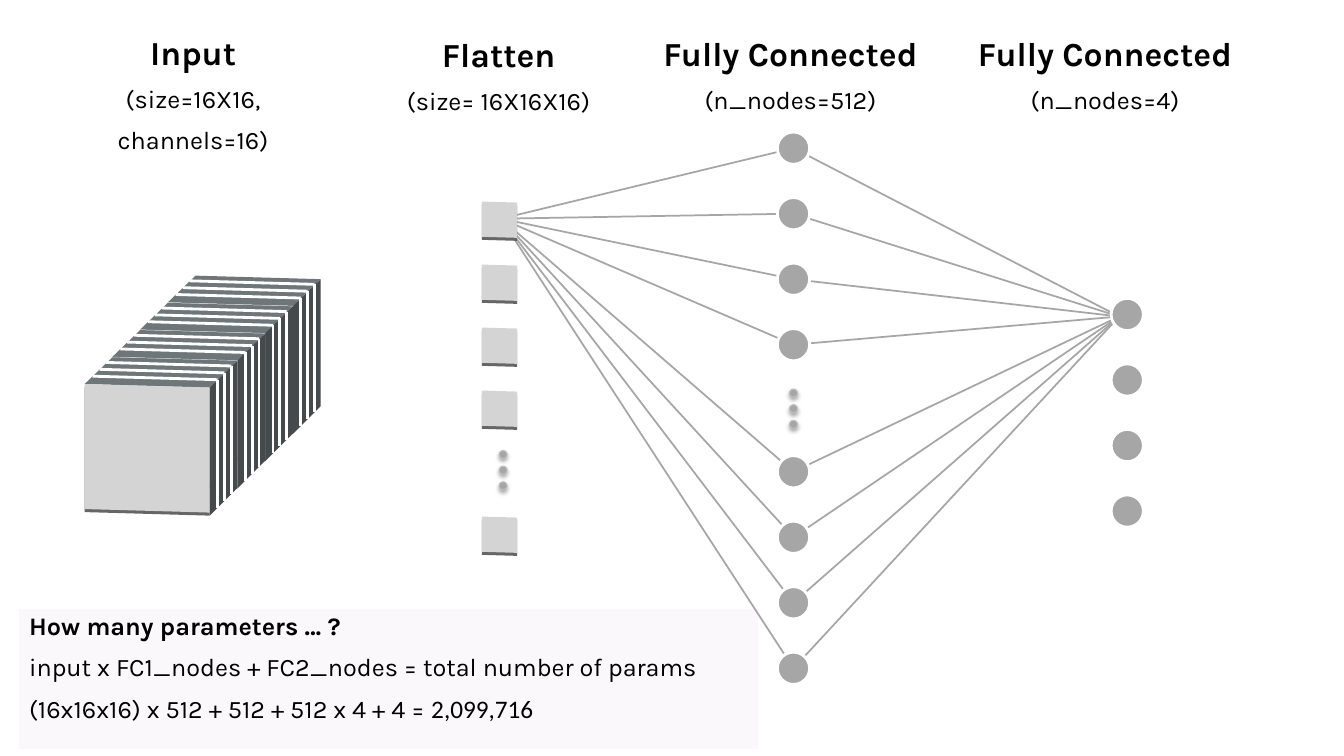
from dataclasses import dataclass

from lxml.etree import SubElement
from pptx import Presentation
from pptx.dml.color import RGBColor
from pptx.enum.shapes import MSO_CONNECTOR, MSO_SHAPE
from pptx.enum.text import MSO_ANCHOR, PP_ALIGN
from pptx.oxml.ns import qn
from pptx.util import Inches, Pt

BLACK = RGBColor(0x00, 0x00, 0x00)
WHITE = RGBColor(0xFF, 0xFF, 0xFF)
GRAY = RGBColor(0xA6, 0xA6, 0xA6)
DOT_EDGE = RGBColor(0xBF, 0xBF, 0xBF)
PANEL = RGBColor(0xFA, 0xF8, 0xFA)
FRONT = RGBColor(0xD4, 0xD4, 0xD4)
TOP = RGBColor(0x6F, 0x76, 0x79)
SIDE = RGBColor(0x45, 0x4A, 0x4D)
BASE = RGBColor(0x66, 0x66, 0x66)

FONT = "Karla"
NODE_SIZE = 0.32
NODE_STEP = 0.65
DOT_SIZE = 0.08
DOT_STEP = 0.155
SQUARE_STEP = 0.625
SLAB_SIZE = 1.24
SLAB_STEP = 0.275

Point = tuple[float, float]


@dataclass(frozen=True)
class Heading:
    name: str
    details: tuple[str, ...]
    left: float
    top: float
    width: float
    height: float


HEADINGS = (
    Heading("Input", ("(size=16X16,", "channels=16)"), 0.84, 0.31, 2.15, 0.53),
    Heading("Flatten", ("(size= 16X16X16)",), 3.87, 0.33, 2.15, 0.53),
    Heading("Fully Connected", ("(n_nodes=512)",), 6.44, 0.32, 2.8, 0.42),
    Heading("Fully Connected", ("(n_nodes=4)",), 9.56, 0.32, 2.8, 0.42),
)

prs = Presentation()
prs.slide_width, prs.slide_height = Inches(13.33), Inches(7.5)
shapes = prs.slides.add_slide(prs.slide_layouts[6]).shapes


def write_lines(frame, lines: list[str], title_size: int, align: PP_ALIGN) -> None:
    """Write a bold first line followed by regular 18 pt lines."""
    frame.word_wrap = True
    frame.vertical_anchor = MSO_ANCHOR.TOP
    for i, line in enumerate(lines):
        paragraph = frame.add_paragraph() if i else frame.paragraphs[0]
        paragraph.text = line
        paragraph.alignment = align
        paragraph.line_spacing = 0.9
        paragraph.space_before = Pt(10 if i else 0)
        paragraph.font.name = FONT
        paragraph.font.size = Pt(18 if i else title_size)
        paragraph.font.bold = i == 0
        paragraph.font.color.rgb = BLACK


def add_heading(heading: Heading) -> None:
    box = shapes.add_textbox(Inches(heading.left), Inches(heading.top),
                             Inches(heading.width), Inches(heading.height))
    box.text_frame.margin_left = box.text_frame.margin_right = 0
    write_lines(box.text_frame, [heading.name, *heading.details], 24, PP_ALIGN.CENTER)


def add_line(start: Point, end: Point, color: RGBColor, width: float) -> None:
    line = shapes.add_connector(MSO_CONNECTOR.STRAIGHT,
                                *(Inches(v) for v in (*start, *end)))
    line.line.color.rgb = color
    line.line.width = Pt(width)
    SubElement(line._element.spPr, qn("a:effectLst"))


def add_circle(center: Point, size: float, edge: RGBColor, edge_width: float):
    x, y = center
    circle = shapes.add_shape(MSO_SHAPE.OVAL, Inches(x - size / 2), Inches(y - size / 2),
                              Inches(size), Inches(size))
    circle.shadow.inherit = False
    circle.fill.solid()
    circle.fill.fore_color.rgb = GRAY
    circle.line.color.rgb = edge
    circle.line.width = Pt(edge_width)
    return circle


def add_ellipsis(x: float, y: float) -> None:
    """Draw three small shaded dots downwards from a first centre."""
    for i in range(3):
        dot = add_circle((x, y + i * DOT_STEP), DOT_SIZE, DOT_EDGE, 0.75)
        effects = dot._element.spPr.find(qn("a:effectLst"))
        shadow = SubElement(effects, qn("a:outerShdw"), blurRad=str(Pt(3.1)),
                            dist=str(Pt(1.8)), dir="5400000", rotWithShape="0")
        color = SubElement(shadow, qn("a:srgbClr"), val="000000")
        SubElement(color, qn("a:alpha"), val="35000")


def add_face(corners: list[Point], color: RGBColor) -> None:
    (x, y), *others = [(Inches(px), Inches(py)) for px, py in corners]
    builder = shapes.build_freeform(x, y)
    builder.add_line_segments(others, close=True)
    face = builder.convert_to_shape()
    face.shadow.inherit = False
    face.fill.solid()
    face.fill.fore_color.rgb = color
    face.line.fill.background()


def add_front(x: float, y: float, size: float, tilt: float) -> None:
    """Draw a slightly tilted square face with a dark lower edge."""
    for drop, color in ((0.03, BASE), (0, FRONT)):
        add_face([(x, y + drop), (x + size, y + drop + tilt),
                  (x + size, y + drop + tilt + size), (x, y + drop + size)], color)


def add_slab(x: float, y: float) -> None:
    """Draw a block of four channels, split by white lines."""
    tilt, depth = 0.035, SLAB_STEP
    right, right_top = x + SLAB_SIZE, y + tilt
    bottom = right_top + SLAB_SIZE + 0.03
    back_corner = (right + depth, right_top - depth + 0.01)
    add_face([(x, y), (x + depth, y - depth + 0.01), back_corner, (right, right_top)], TOP)
    add_face([(right, right_top), back_corner,
              (right + depth, bottom - depth), (right, bottom)], SIDE)
    add_front(x, y, SLAB_SIZE, tilt)
    for i in (3, 2, 1):
        inset = 0.01 + i * 0.068
        corner = (right + inset, right_top - inset)
        add_line((x + inset, y - inset), corner, WHITE, 2)
        add_line(corner, (corner[0], corner[1] + 1.27), WHITE, 2)


# Parameter count
panel = shapes.add_shape(MSO_SHAPE.RECTANGLE, Inches(0.19), Inches(6.04),
                         Inches(7.33), Inches(1.39))
panel.shadow.inherit = False
panel.fill.solid()
panel.fill.fore_color.rgb = PANEL
panel.line.fill.background()
write_lines(panel.text_frame, [
    "How many parameters … ?",
    "input x FC1_nodes + FC2_nodes = total number of params",
    "(16x16x16) x 512 + 512 + 512 x 4 + 4 = ",
], 18, PP_ALIGN.LEFT)
total = panel.text_frame.paragraphs[-1].add_run()
total.text = "2,099,716"
total.font.name = "Calibri"

# Column headings
for heading in HEADINGS:
    add_heading(heading)

# Connections between layers
hidden_nodes = [(7.87, first + i * NODE_STEP) for first in (1.47, 4.68) for i in range(4)]
output_nodes = [(11.18, 3.12 + i * NODE_STEP) for i in range(4)]
for hub in ((11.1, 3.14), (4.97, 2.17)):
    for node in hidden_nodes:
        add_line(hub, node, GRAY, 1.25)

# Input channels, from back to front
for i in (3, 2, 1, 0):
    add_slab(0.84 + i * SLAB_STEP, 3.81 - i * 0.27)

# Flattened input
for row in (0, 1, 2, 3, 5):
    add_front(4.78, 2 + row * SQUARE_STEP, 0.35, 0.01)
add_ellipsis(4.99, 4.51)

# Fully connected layers
for node in hidden_nodes + output_nodes:
    add_circle(node, NODE_SIZE, WHITE, 2)
add_ellipsis(7.87, 3.9)

prs.save("out.pptx")
